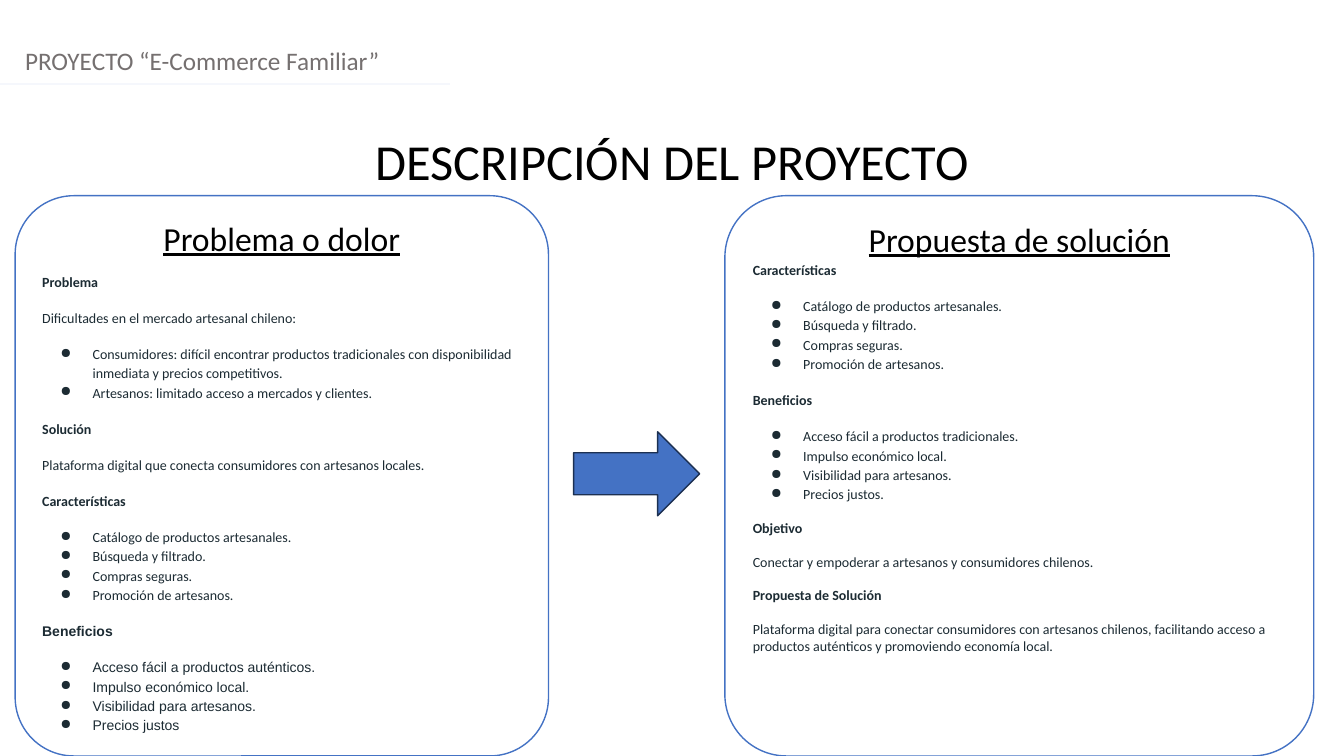
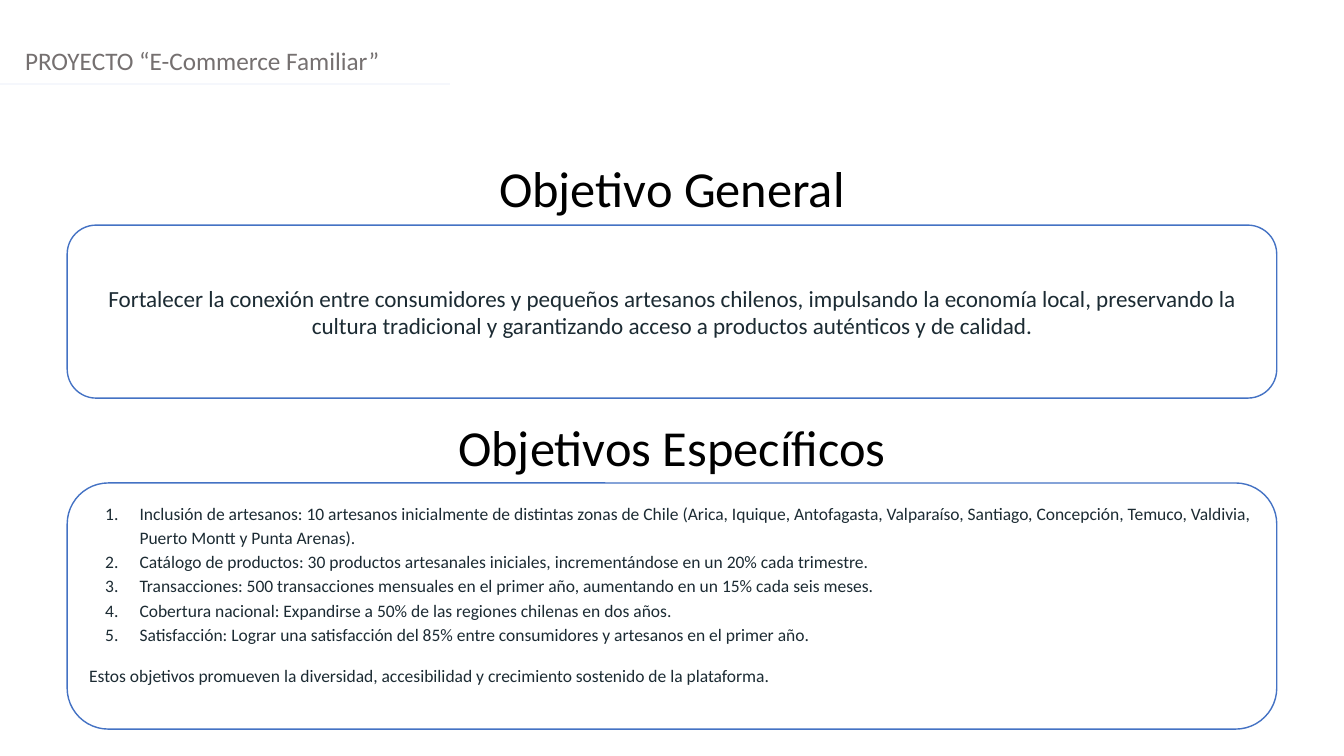
from lxml import etree
from pptx import Presentation
from pptx.dml.color import RGBColor
from pptx.enum.shapes import MSO_CONNECTOR, MSO_SHAPE
from pptx.enum.text import MSO_ANCHOR, PP_ALIGN
from pptx.oxml.ns import qn
from pptx.util import Inches, Pt

STRAIGHT = MSO_CONNECTOR.STRAIGHT
ROUNDED = MSO_SHAPE.ROUNDED_RECTANGLE
RIGHT_ARROW = MSO_SHAPE.RIGHT_ARROW
TOP, MIDDLE = MSO_ANCHOR.TOP, MSO_ANCHOR.MIDDLE
LEFT, CENTER = PP_ALIGN.LEFT, PP_ALIGN.CENTER

COLUMNS, ROWS = 160, 90
BLUE, NAVY, WHITE, BLACK = "4472C4", "1C3052", "FFFFFF", "000000"
INK, GREY, PALE = "1C2B33", "757070", "F5F7FC"

FEATURES = [
    "Catálogo de productos artesanales.",
    "Búsqueda y filtrado.",
    "Compras seguras.",
    "Promoción de artesanos.",
]
SHARED_BENEFITS = ["Impulso económico local.", "Visibilidad para artesanos."]
GOALS = [
    "Inclusión de artesanos: 10 artesanos inicialmente de distintas zonas de Chile "
    "(Arica, Iquique, Antofagasta, Valparaíso, Santiago, Concepción, Temuco, Valdivia, "
    "Puerto Montt y Punta Arenas).",
    "Catálogo de productos: 30 productos artesanales iniciales, incrementándose en un "
    "20% cada trimestre.",
    "Transacciones: 500 transacciones mensuales en el primer año, aumentando en un 15% "
    "cada seis meses.",
    "Cobertura nacional: Expandirse a 50% de las regiones chilenas en dos años.",
    "Satisfacción: Lograr una satisfacción del 85% entre consumidores y artesanos en el "
    "primer año.",
]


def color(value):
    """Turn a hex string into a colour."""
    return RGBColor.from_string(value)


class Deck:
    """Hold the presentation, its style and the current slide."""

    def __init__(self):
        """Start an empty widescreen presentation."""
        self.presentation = Presentation()
        self.presentation.slide_width = Inches(13.33)
        self.presentation.slide_height = Inches(7.5)
        self.slide = None

    def place(self, column, row, width, height):
        """Convert grid units into slide lengths."""
        across = self.presentation.slide_width / COLUMNS
        down = self.presentation.slide_height / ROWS
        return (round(column * across), round(row * down),
                round(width * across), round(height * down))

    def new_slide(self):
        """Add a blank slide with the project header and its rule."""
        self.slide = self.presentation.slides.add_slide(
            self.presentation.slide_layouts[6])
        self.label("PROYECTO “E-Commerce Familiar”", 1.8, 4.8, 156.4, 4.8, 18, GREY, LEFT)
        self.rule(10, 53.6)

    def label(self, text, column, row, width, height, size, ink, align):
        """Add a one-line text box."""
        box = self.slide.shapes.add_textbox(*self.place(column, row, width, height))
        box.text_frame.word_wrap = True
        self.add_text(box.text_frame, text, size, ink=ink, align=align)

    def title(self, text, row):
        """Add a centred title across the slide."""
        self.label(text, 0, row, COLUMNS, 8.5, 36, BLACK, CENTER)

    def rule(self, row, width):
        """Draw a pale line from the left edge."""
        left, top, length, _ = self.place(0, row, width, 0)
        line = self.slide.shapes.add_connector(STRAIGHT, left, top, left + length, top)
        line.line.color.rgb = color(PALE)
        line.line.width = Pt(1.25)
        etree.SubElement(line._element.spPr, qn("a:effectLst"))

    def shape(self, kind, column, row, width, height, fill, outline):
        """Add a filled and outlined shape."""
        shape = self.slide.shapes.add_shape(kind, *self.place(column, row, width, height))
        shape.shadow.inherit = False
        shape.fill.solid()
        shape.fill.fore_color.rgb = color(fill)
        shape.line.color.rgb = color(outline)
        shape.line.width = Pt(1)
        return shape

    def panel(self, column, row, width, height, corner, anchor=TOP):
        """Add a rounded panel and return its text frame."""
        panel = self.shape(ROUNDED, column, row, width, height, WHITE, BLUE)
        panel.adjustments[0] = corner
        panel.text_frame.word_wrap = True
        panel.text_frame.vertical_anchor = anchor
        return panel.text_frame

    def add_text(self, frame, text, size=10, bold=False, underline=False, ink=INK,
                 align=LEFT, before=0, spacing=1, font="Calibri"):
        """Add one paragraph, using the first one while it is empty."""
        paragraph = frame.paragraphs[0]
        if paragraph.runs:
            paragraph = frame.add_paragraph()
        paragraph.alignment = align
        paragraph.line_spacing = spacing
        paragraph.space_before = Pt(before)
        run = paragraph.add_run()
        run.text = text
        run.font.name = font
        run.font.size = Pt(size)
        run.font.bold = bold
        run.font.underline = underline
        run.font.color.rgb = color(ink)
        return paragraph

    def items(self, frame, texts, size=10, before=12, hang=0.32, numbered=False,
              font="Calibri"):
        """Add a bulleted or numbered list."""
        for index, text in enumerate(texts):
            paragraph = self.add_text(frame, text, size, before=0 if index else before,
                                      spacing=1.15, font=font)
            properties = paragraph._p.get_or_add_pPr()
            properties.set("marL", str(Inches(0.5)))
            properties.set("indent", str(-Inches(hang)))
            bullet_color = etree.SubElement(properties, qn("a:buClr"))
            etree.SubElement(bullet_color, qn("a:srgbClr"), val=INK)
            if numbered:
                etree.SubElement(properties, qn("a:buAutoNum"), type="arabicPeriod")
            else:
                etree.SubElement(properties, qn("a:buChar"), char="●")

    def heading(self, frame, text, before=12, spacing=1.15, font="Calibri"):
        """Add a bold section heading."""
        self.add_text(frame, text, bold=True, before=before, spacing=spacing, font=font)

    def body(self, frame, text, size=10, spacing=1.15):
        """Add a plain paragraph set apart from the one above."""
        self.add_text(frame, text, size, before=12, spacing=spacing)

    def panel_title(self, frame, text):
        """Add the underlined title of a panel."""
        self.add_text(frame, text, 24, underline=True, ink=BLACK, align=CENTER)


def description_slide(deck):
    """Build the problem and solution slide."""
    deck.new_slide()
    deck.title("DESCRIPCIÓN DEL PROYECTO", 14.9)
    top, height, corner = 23.3, 66.7, 0.11
    left, left_width, right, right_width = 1.8, 63.5, 86.3, 70.1

    problem = deck.panel(left, top, left_width, height, corner)
    deck.panel_title(problem, "Problema o dolor")
    deck.heading(problem, "Problema", before=9)
    deck.body(problem, "Dificultades en el mercado artesanal chileno:")
    deck.items(problem, [
        "Consumidores: difícil encontrar productos tradicionales con disponibilidad "
        "inmediata y precios competitivos.",
        "Artesanos: limitado acceso a mercados y clientes.",
    ])
    deck.heading(problem, "Solución")
    deck.body(problem, "Plataforma digital que conecta consumidores con artesanos locales.")
    deck.heading(problem, "Características")
    deck.items(problem, FEATURES)
    deck.heading(problem, "Beneficios", font="Arial")
    deck.items(problem, ["Acceso fácil a productos auténticos.", *SHARED_BENEFITS,
                         "Precios justos"], font="Arial")

    solution = deck.panel(right, top, right_width, height, corner)
    deck.panel_title(solution, "Propuesta de solución")
    deck.heading(solution, "Características", before=0)
    deck.items(solution, FEATURES)
    deck.heading(solution, "Beneficios")
    deck.items(solution, ["Acceso fácil a productos tradicionales.", *SHARED_BENEFITS,
                          "Precios justos."])
    for heading, text in (
        ("Objetivo", "Conectar y empoderar a artesanos y consumidores chilenos."),
        ("Propuesta de Solución",
         "Plataforma digital para conectar consumidores con artesanos chilenos, "
         "facilitando acceso a productos auténticos y promoviendo economía local."),
    ):
        deck.heading(solution, heading, spacing=1)
        deck.body(solution, text, spacing=1)

    arrow_width = 15
    arrow_left = (left + left_width + right - arrow_width) / 2
    deck.shape(RIGHT_ARROW, arrow_left, 51.4, arrow_width, 10, BLUE, NAVY)


def objectives_slide(deck):
    """Build the general and specific objectives slide."""
    deck.new_slide()
    margin, corner = 8, 0.167
    width = COLUMNS - 2 * margin

    deck.title("Objetivo General", 18.1)
    general = deck.panel(margin, 26.8, width, 20.6, corner, MIDDLE)
    deck.add_text(general, "Fortalecer la conexión entre consumidores y pequeños artesanos "
                  "chilenos, impulsando la economía local, preservando la cultura "
                  "tradicional y garantizando acceso a productos auténticos y de calidad.",
                  16.5, align=CENTER)

    deck.title("Objetivos Específicos", 49)
    specific = deck.panel(margin, 57.5, width, 29.3, corner)
    deck.items(specific, GOALS, 12.5, before=0, hang=0.34, numbered=True)
    deck.body(specific, "Estos objetivos promueven la diversidad, accesibilidad y "
              "crecimiento sostenido de la plataforma.", 12.5)


def main():
    """Build and save the presentation."""
    deck = Deck()
    description_slide(deck)
    objectives_slide(deck)
    deck.presentation.save("out.pptx")


if __name__ == "__main__":
    main()
